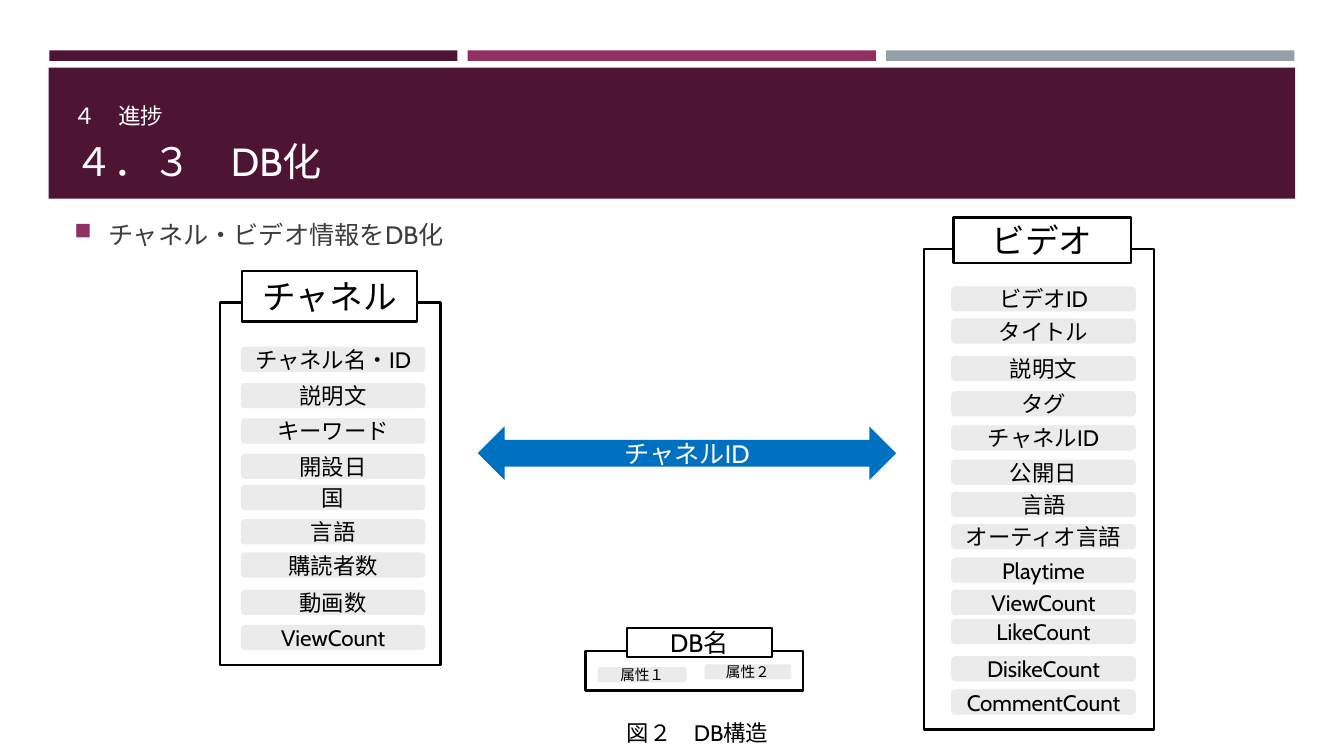
from dataclasses import dataclass

from lxml import etree
from pptx import Presentation
from pptx.dml.color import RGBColor
from pptx.enum.shapes import MSO_SHAPE
from pptx.enum.text import MSO_ANCHOR, PP_ALIGN
from pptx.oxml.ns import qn
from pptx.util import Pt

RECT = MSO_SHAPE.RECTANGLE
ROUND = MSO_SHAPE.ROUNDED_RECTANGLE
ARROW = MSO_SHAPE.LEFT_RIGHT_ARROW
TOP, MIDDLE, BOTTOM = MSO_ANCHOR.TOP, MSO_ANCHOR.MIDDLE, MSO_ANCHOR.BOTTOM
LEFT, CENTER = PP_ALIGN.LEFT, PP_ALIGN.CENTER


@dataclass(frozen=True)
class Theme:
    font: str = "Cabin"
    plum: str = "4D1434"
    rose: str = "903163"
    steel: str = "969FA7"
    blue: str = "0070C0"
    pale: str = "EBEBEB"
    white: str = "FFFFFF"
    black: str = "000000"
    ink: str = "3D3D3D"
    title: float = 28
    head: float = 24
    body: float = 18
    label: float = 16
    small: float = 10.5
    line: float = 1.75


THEME = Theme()

# Each row is a label with its top edge
CHANNEL = [
    ("チャネル名・ID", 247.7), ("説明文", 273.6), ("キーワード", 298.8),
    ("開設日", 324), ("国", 346.3), ("言語", 370.8), ("購読者数", 394.6),
    ("動画数", 421.2), ("ViewCount", 446.4),
]
VIDEO = [
    ("ビデオID", 204.5), ("タイトル", 227.5), ("説明文", 254.2),
    ("タグ", 279.4), ("チャネルID", 303.8), ("公開日", 328.3),
    ("言語", 351.4), ("オーティオ言語", 374.4), ("Playtime", 398.2),
    ("ViewCount", 421.2), ("LikeCount", 442.1), ("DisikeCount", 468.7),
    ("CommentCount", 492.5),
]


def write(shape, text, size, color, align=CENTER, anchor=MIDDLE):
    frame = shape.text_frame
    frame.text = text
    frame.word_wrap = True
    frame.vertical_anchor = anchor
    para = frame.paragraphs[0]
    para.alignment = align
    font = para.runs[0].font
    font.name = THEME.font
    font.size = Pt(size)
    font.color.rgb = RGBColor.from_string(color)
    return para


def block(parent, kind, box, fill=None, line=None):
    shape = parent.shapes.add_shape(kind, *map(Pt, box))
    shape.shadow.inherit = False
    if fill:
        shape.fill.solid()
        shape.fill.fore_color.rgb = RGBColor.from_string(fill)
    else:
        shape.fill.background()
    if line:
        shape.line.color.rgb = RGBColor.from_string(line)
        shape.line.width = Pt(THEME.line)
    else:
        shape.line.fill.background()
    return shape


def label(slide, box, text, size, color, align=LEFT, anchor=BOTTOM):
    shape = slide.shapes.add_textbox(*map(Pt, box))
    return write(shape, text, size, color, align, anchor)


def bullet(para, color):
    props = para._p.get_or_add_pPr()
    props.set("marL", str(Pt(24)))
    props.set("indent", str(-Pt(24)))
    tint = etree.SubElement(props, qn("a:buClr"))
    etree.SubElement(tint, qn("a:srgbClr"), val=color)
    etree.SubElement(props, qn("a:buSzPct"), val="92000")
    etree.SubElement(props, qn("a:buChar"), char="■")


def panel(slide, frame, head, name, size, cells, cell_size):
    """Draw a framed database: its cells, then its name on the top edge."""
    group = slide.shapes.add_group_shape()
    block(group, RECT, frame, line=THEME.black)
    for text, box in cells:
        cell = block(group, ROUND, box, THEME.pale)
        frame_text = cell.text_frame
        frame_text.margin_left = frame_text.margin_right = 0
        write(cell, text, cell_size, THEME.black)
    plate = block(group, RECT, head, THEME.white, THEME.black)
    write(plate, name, size, THEME.black)


def stack(rows, left):
    return [(text, (left, top, 131.8, 18)) for text, top in rows]


def main():
    deck = Presentation()
    deck.slide_width, deck.slide_height = Pt(960), Pt(540)
    slide = deck.slides.add_slide(deck.slide_layouts[6])

    # Header bars and title band
    for i, color in enumerate((THEME.plum, THEME.rose, THEME.steel)):
        block(slide, RECT, (35.2 + 298.9 * i, 36, 291.6, 7.5), color)
    block(slide, RECT, (34.8, 48.4, 890.4, 93.6), THEME.plum)
    label(slide, (45.4, 55.4, 868.3, 40.3), "４　進捗",
          THEME.label, THEME.white)
    label(slide, (46.1, 55.4, 868.3, 79.9), "４．３　DB化",
          THEME.title, THEME.white)

    # Lead point
    lead = label(slide, (46.1, 149, 440.6, 36.7), "チャネル・ビデオ情報をDB化",
                 THEME.body, THEME.ink, anchor=MIDDLE)
    lead.space_before, lead.space_after = Pt(3.6), Pt(6)
    bullet(lead, THEME.rose)

    # Databases and the legend
    panel(slide, (157, 216, 157.7, 259.2), (172.8, 193.7, 125.3, 36),
          "チャネル", THEME.head, stack(CHANNEL, 172.1), THEME.label)
    panel(slide, (660.2, 177.8, 164.2, 343.4), (681.1, 155.5, 126.7, 32.4),
          "ビデオ", THEME.head, stack(VIDEO, 679.5), THEME.label)
    parts = [("属性１", (427, 476.6, 63.4, 10.8)),
             ("属性２", (503.3, 474.5, 61.9, 10.8))]
    panel(slide, (418.3, 465.1, 155.5, 28.1), (447.8, 448.6, 103.7, 20.9),
          "DB名", THEME.body, parts, THEME.small)

    # Shared key and caption
    link = block(slide, ARROW, (341.3, 304.6, 298.8, 38.2), THEME.blue)
    write(link, "チャネルID", THEME.body, THEME.white)
    label(slide, (265.7, 510.5, 465.1, 26.6), "図２　DB構造",
          THEME.label, THEME.black, CENTER, TOP)

    deck.save("out.pptx")


if __name__ == "__main__":
    main()
